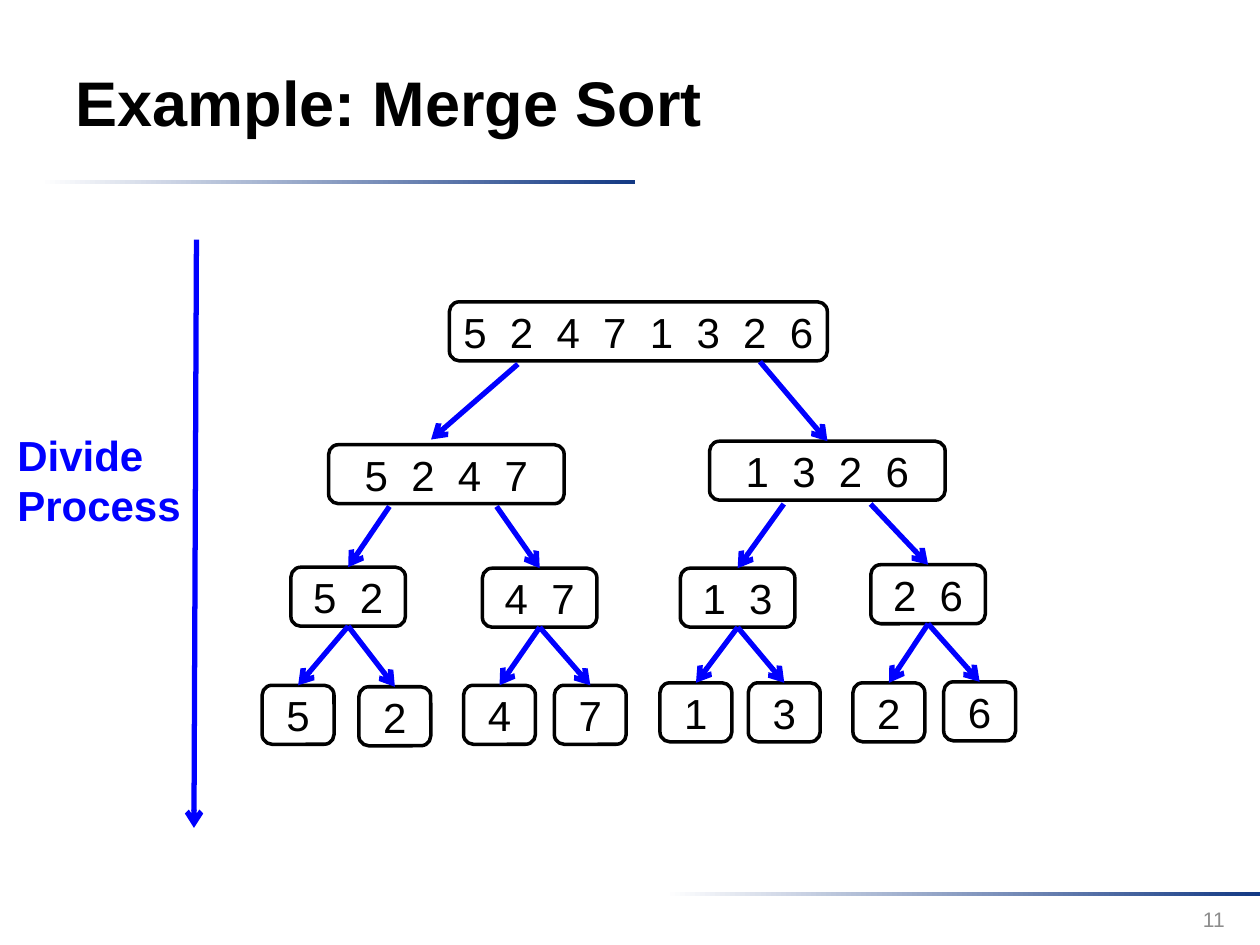
from lxml import etree
from pptx import Presentation
from pptx.dml.color import RGBColor
from pptx.enum.shapes import MSO_CONNECTOR, MSO_SHAPE
from pptx.enum.text import MSO_ANCHOR, PP_ALIGN
from pptx.oxml.ns import qn
from pptx.util import Cm, Pt

STRAIGHT = MSO_CONNECTOR.STRAIGHT
RECT, ROUND = MSO_SHAPE.RECTANGLE, MSO_SHAPE.ROUNDED_RECTANGLE
LEFT, CENTER, RIGHT = PP_ALIGN.LEFT, PP_ALIGN.CENTER, PP_ALIGN.RIGHT
TOP, MIDDLE = MSO_ANCHOR.TOP, MSO_ANCHOR.MIDDLE

# Nodes in heap order: values, centre x, centre y (cm)
NODES = [
    ("52471326", 12.87, 6.68),
    ("5247", 9.0, 9.56), ("1326", 16.68, 9.49),
    ("52", 7.02, 12.03), ("47", 10.88, 12.05),
    ("13", 14.87, 12.05), ("26", 18.71, 11.98),
    ("5", 6.01, 14.41), ("2", 7.96, 14.44),
    ("4", 10.07, 14.41), ("7", 11.9, 14.41),
    ("1", 14.03, 14.36), ("3", 15.81, 14.36),
    ("2", 17.92, 14.36), ("6", 19.75, 14.34),
]
WIDTHS = {8: 7.62, 4: 4.75, 2: 2.31, 1: 1.45}
HEIGHT = 1.19
# Where the arrow into a node starts, if not at its parent's bottom middle
STARTS = {
    1: (10.44, 7.34), 2: (15.32, 7.29),
    3: (7.85, 10.21), 4: (10.01, 10.21),
    5: (15.8, 10.16), 6: (17.55, 10.16),
}
# Where the arrow into a node ends, if not at its top middle
ENDS = {1: (8.69, 8.86)}


def rgb(code):
    return RGBColor.from_string(code)


class Deck:
    font, ink, blue, navy, gray = "Arial", "000000", "0000FF", "133984", "8C8C8C"

    def __init__(self):
        self.prs = Presentation()
        self.prs.slide_width, self.prs.slide_height = Cm(25.4), Cm(19.05)
        self.slide = self.prs.slides.add_slide(self.prs.slide_layouts[5])
        self.shapes = self.slide.shapes

    def set_text(self, shape, text, size, color, align, anchor, bold=False):
        frame = shape.text_frame
        frame.text = text
        frame.vertical_anchor = anchor
        for para in frame.paragraphs:
            para.alignment = align
            for run in para.runs:
                font = run.font
                font.name, font.size, font.bold = self.font, Pt(size), bold
                font.color.rgb = rgb(color)
        return frame

    def title(self, text, x, y, w, h):
        shape = self.shapes.title
        shape.left, shape.top, shape.width, shape.height = map(Cm, (x, y, w, h))
        self.set_text(shape, text, 36, self.ink, LEFT, MIDDLE, True)

    def label(self, text, x, y, w, h, size, color, align, anchor, bold=False):
        shape = self.shapes.add_textbox(*map(Cm, (x, y, w, h)))
        frame = self.set_text(shape, text, size, color, align, anchor, bold)
        frame.word_wrap = False

    def rule(self, x, y):
        """Thin bar that fades in from white."""
        bar = self.shapes.add_shape(RECT, Cm(x), Cm(y), Cm(12), Cm(0.08))
        bar.shadow.inherit = False
        bar.line.fill.background()
        bar.fill.gradient()
        bar.fill.gradient_angle = 0
        for stop, color in zip(bar.fill.gradient_stops, ("FFFFFF", self.navy)):
            stop.color.rgb = rgb(color)

    def node(self, values, x, y):
        w = WIDTHS[len(values)]
        box = self.shapes.add_shape(
            ROUND, Cm(x - w / 2), Cm(y - HEIGHT / 2), Cm(w), Cm(HEIGHT))
        box.shadow.inherit = False
        box.fill.background()
        box.line.color.rgb = rgb(self.ink)
        box.line.width = Pt(2)
        frame = self.set_text(box, "  ".join(values), 24, self.ink, CENTER, MIDDLE)
        frame.word_wrap = False
        frame.margin_left = frame.margin_right = 0
        frame.margin_top = frame.margin_bottom = 0
        return box

    def arrow(self, start=(0, 0), end=(0, 0)):
        line = self.shapes.add_connector(STRAIGHT, *map(Cm, (*start, *end)))
        line.line.color.rgb = rgb(self.blue)
        line.line.width = Pt(3)
        props = line._element.spPr
        etree.SubElement(props.find(qn("a:ln")), qn("a:tailEnd"), type="arrow")
        etree.SubElement(props, qn("a:effectLst"))
        return line


def main():
    deck = Deck()
    deck.rule(0.8, 3.63)
    deck.rule(13.4, 17.98)
    deck.title("Example: Merge Sort", 1.27, 0.46, 19.63, 3.18)
    deck.label("11", 19.02, 18.01, 5.92, 1.02, 12, deck.gray, RIGHT, MIDDLE)
    deck.arrow((3.96, 4.83), (3.91, 16.69))
    deck.label("Divide\nProcess", 0.1, 8.53, 3.84, 2.31, 24, deck.blue, LEFT, TOP, True)

    boxes = [deck.node(*node) for node in NODES]
    for i, box in enumerate(boxes[1:], 1):
        line = deck.arrow(STARTS.get(i, (0, 0)), ENDS.get(i, (0, 0)))
        if i not in STARTS:
            line.begin_connect(boxes[(i - 1) // 2], 2)
        if i not in ENDS:
            line.end_connect(box, 0)
    deck.prs.save("out.pptx")


if __name__ == "__main__":
    main()
